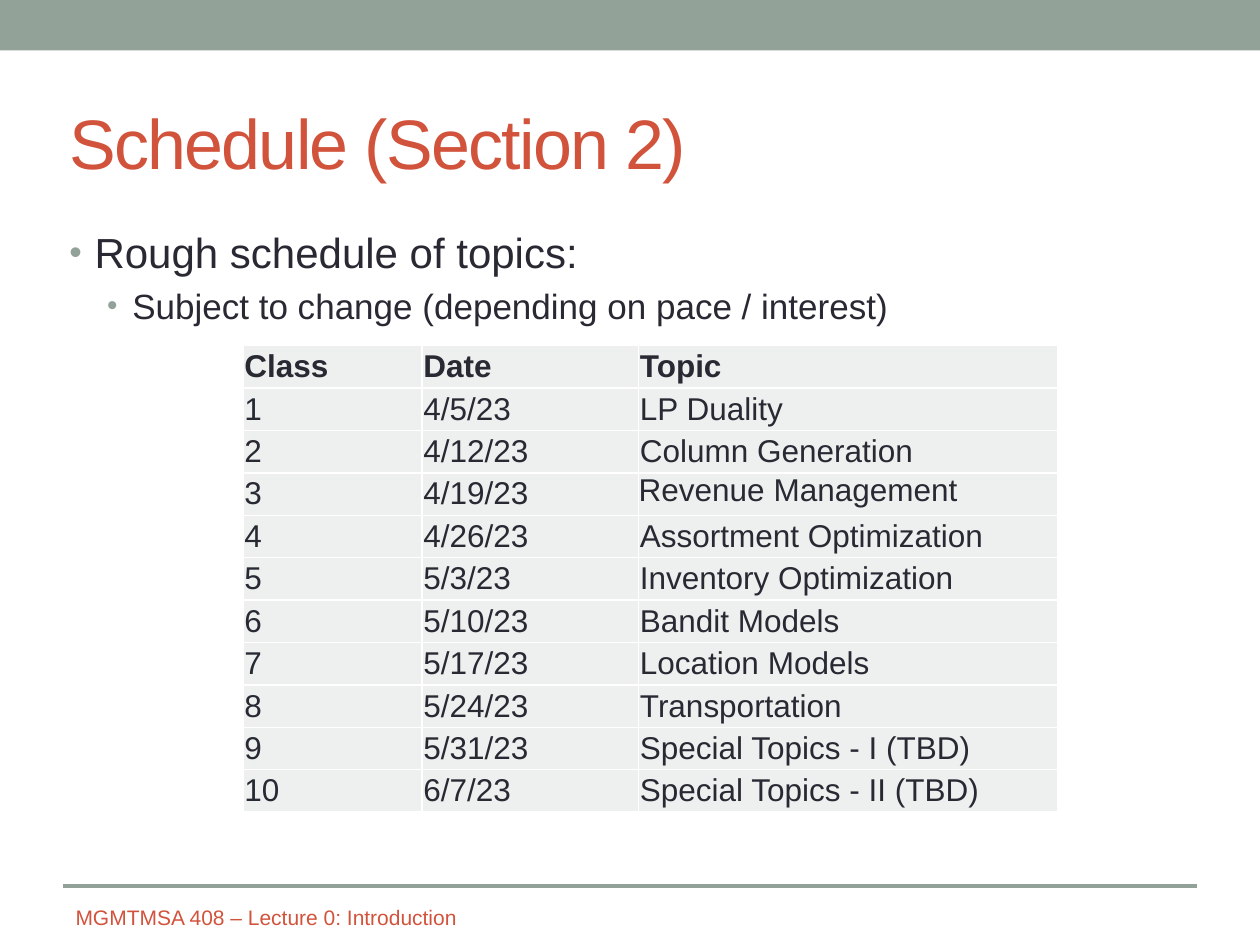
from typing import NamedTuple

from lxml.etree import SubElement
from pptx import Presentation
from pptx.dml.color import RGBColor
from pptx.enum.shapes import MSO_CONNECTOR, MSO_SHAPE
from pptx.enum.text import MSO_ANCHOR, MSO_AUTO_SIZE, PP_ALIGN
from pptx.oxml import parse_xml
from pptx.oxml.ns import nsdecls, qn
from pptx.util import Pt

SAGE = RGBColor(0x93, 0xA2, 0x99)
RUST = RGBColor(0xD2, 0x53, 0x3C)
INK = RGBColor(0x29, 0x29, 0x34)
PALE = RGBColor(0xEE, 0xF0, 0xEF)
WHITE = RGBColor(0xFF, 0xFF, 0xFF)
FONT = "Arial"


class Bullet(NamedTuple):
    text: str
    level: int
    size: float
    indent: float
    space_before: float


class Session(NamedTuple):
    number: str
    date: str
    topic: str


BULLETS = [
    Bullet("Rough schedule of topics:", 0, 24, 14.4, 5),
    Bullet("Subject to change (depending on pace / interest)", 1, 20, 36, 4),
]
HEADER = Session("Class", "Date", "Topic")
SESSIONS = [
    Session("1", "4/5/23", "LP Duality"),
    Session("2", "4/12/23", "Column Generation"),
    Session("3", "4/19/23", "Revenue Management"),
    Session("4", "4/26/23", "Assortment Optimization"),
    Session("5", "5/3/23", "Inventory Optimization"),
    Session("6", "5/10/23", "Bandit Models"),
    Session("7", "5/17/23", "Location Models"),
    Session("8", "5/24/23", "Transportation"),
    Session("9", "5/31/23", "Special Topics - I (TBD)"),
    Session("10", "6/7/23", "Special Topics - II (TBD)"),
]
COLUMN_WIDTHS = (102.24, 123.84, 239.4)
ROW_HEIGHT = 24.25


def style_font(paragraph, size: float, color: RGBColor, bold: bool = False) -> None:
    font = paragraph.font
    font.name, font.size, font.bold = FONT, Pt(size), bold
    font.color.rgb = color


def place(shape, left: float, top: float, width: float, height: float) -> None:
    shape.left, shape.top = Pt(left), Pt(top)
    shape.width, shape.height = Pt(width), Pt(height)


def set_frame(frame, anchor: MSO_ANCHOR) -> None:
    frame.word_wrap = True
    frame.auto_size = MSO_AUTO_SIZE.NONE
    frame.vertical_anchor = anchor
    frame.margin_left = frame.margin_right = Pt(3.6)
    frame.margin_top = frame.margin_bottom = Pt(3.6)


def add_bullet(paragraph, bullet: Bullet) -> None:
    paragraph.text = bullet.text
    paragraph.level = bullet.level
    paragraph.space_before = Pt(bullet.space_before)
    properties = paragraph._p.get_or_add_pPr()
    properties.set("marL", str(Pt(bullet.indent)))
    properties.set("indent", str(Pt(-14.4)))
    color = SubElement(properties, qn("a:buClr"))
    SubElement(color, qn("a:srgbClr"), val=str(SAGE))
    SubElement(properties, qn("a:buSzPct"), val="85000")
    SubElement(properties, qn("a:buFont"), typeface=FONT)
    SubElement(properties, qn("a:buChar"), char="•")
    style_font(paragraph, bullet.size, INK)


def fill_cell(cell, text: str, bold: bool, inset: float, anchor: MSO_ANCHOR) -> None:
    cell.text = text
    cell.vertical_anchor = anchor
    cell.margin_left = cell.margin_right = Pt(inset)
    cell.margin_top = cell.margin_bottom = Pt(inset)
    cell.fill.solid()
    cell.fill.fore_color.rgb = PALE
    style_font(cell.text_frame.paragraphs[0], 18, INK, bold)
    properties = cell._tc.get_or_add_tcPr()
    for index, side in enumerate(("lnL", "lnR", "lnT", "lnB")):
        properties.insert(index, parse_xml(
            f'<a:{side} {nsdecls("a")} w="{Pt(1)}"><a:solidFill>'
            f'<a:srgbClr val="{WHITE}"/></a:solidFill></a:{side}>'))


presentation = Presentation()
presentation.slide_width, presentation.slide_height = Pt(720), Pt(540)
slide = presentation.slides.add_slide(presentation.slide_layouts[1])
shapes = slide.shapes

# Top band
band = shapes.add_shape(MSO_SHAPE.RECTANGLE, 0, 0, Pt(720), Pt(28.8))
band.shadow.inherit = False
band.fill.solid()
band.fill.fore_color.rgb = SAGE
band.line.fill.background()

# Title
title = shapes.title
place(title, 36, 41.76, 648, 77.76)
set_frame(title.text_frame, MSO_ANCHOR.MIDDLE)
title.text_frame.text = "Schedule (Section 2)"
heading = title.text_frame.paragraphs[0]
heading.alignment = PP_ALIGN.LEFT
style_font(heading, 40, RUST)
heading._p.pPr.find(qn("a:defRPr")).set("spc", "-100")

# Bulleted introduction
body = slide.placeholders[1]
place(body, 36, 126, 648, 354.96)
frame = body.text_frame
set_frame(frame, MSO_ANCHOR.TOP)
for index, bullet in enumerate(BULLETS):
    add_bullet(frame.add_paragraph() if index else frame.paragraphs[0], bullet)

# Footer rule and text
rule = shapes.add_connector(MSO_CONNECTOR.STRAIGHT, Pt(36), Pt(506.16), Pt(684), Pt(506.16))
rule.line.color.rgb = SAGE
rule.line.width = Pt(2.08)
SubElement(rule._element.spPr, qn("a:effectLst"))

footer = shapes.add_textbox(Pt(39.6), Pt(513.36), Pt(316.8), Pt(20.88))
set_frame(footer.text_frame, MSO_ANCHOR.MIDDLE)
footer.text_frame.text = "MGMTMSA 408 – Lecture 0: Introduction"
style_font(footer.text_frame.paragraphs[0], 12, RUST)

# Schedule table
rows = [HEADER, *SESSIONS]
table = shapes.add_table(
    len(rows), len(COLUMN_WIDTHS), Pt(138.96), Pt(197.5),
    Pt(sum(COLUMN_WIDTHS)), Pt(ROW_HEIGHT * len(rows))).table
table.first_row = table.horz_banding = False
for column, width in zip(table.columns, COLUMN_WIDTHS):
    column.width = Pt(width)
for table_row, session in zip(table.rows, rows):
    table_row.height = Pt(ROW_HEIGHT)
    for cell, text in zip(table_row.cells, session):
        raised = text == "Revenue Management"
        fill_cell(cell, text, session is HEADER, 0 if raised else 0.72,
                  MSO_ANCHOR.TOP if raised else MSO_ANCHOR.MIDDLE)

presentation.save("out.pptx")
